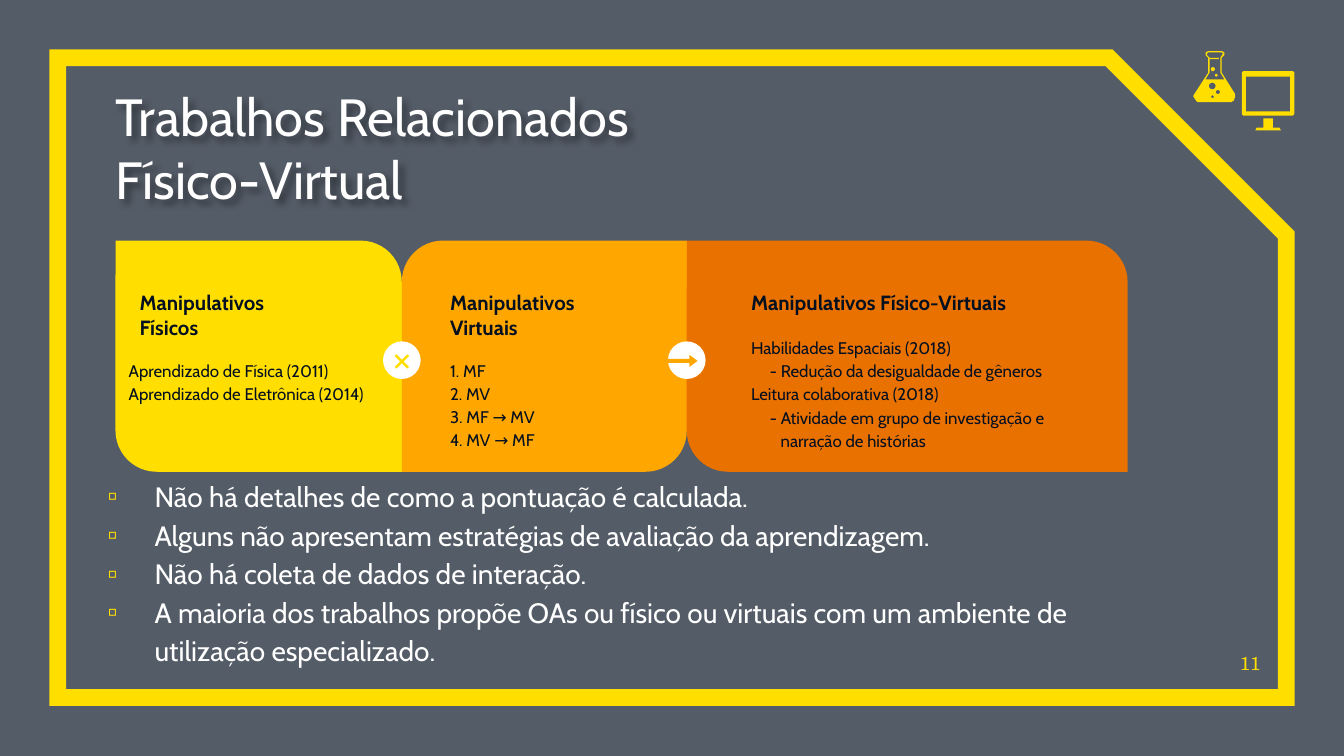
from copy import deepcopy
from dataclasses import dataclass
from math import cos, pi, sin
from typing import NamedTuple

from lxml.etree import SubElement
from pptx import Presentation
from pptx.dml.color import RGBColor
from pptx.enum.shapes import MSO_SHAPE as Preset
from pptx.enum.text import MSO_ANCHOR as Anchor, MSO_AUTO_SIZE as AutoSize, PP_ALIGN as Align
from pptx.oxml.ns import qn
from pptx.util import Emu, Pt

PX = 9144
COLORS = {"background": "545C67", "yellow": "FFDE00", "amber": "FFA700",
          "orange": "E97100", "ink": "040F20", "white": "FFFFFF"}
Points = list[tuple[float, float]]


class Box(NamedTuple):
    left: int
    top: int
    width: int
    height: int


class Style(NamedTuple):
    size: int
    color: str
    font: str = "Cabin"
    bold: bool = False


class Line(NamedTuple):
    text: str
    margin: int = 0
    indent: int = 0


@dataclass
class Panel:
    box: Box
    color: str
    corners: tuple[float, float]
    heading_box: Box
    heading: list[Line]
    body_box: Box
    body: list[Line]


RISING, FALLING = (0, 0.178), (0.178, 0)
PANELS = [
    Panel(Box(86, 179, 213, 172), "yellow", RISING,
          Box(94, 206, 159, 50), [Line("Manipulativos"), Line("Físicos")],
          Box(86, 256, 213, 56),
          [Line("Aprendizado de Física (2011)\nAprendizado de Eletrônica (2014)")]),
    Panel(Box(299, 179, 212, 172), "amber", FALLING,
          Box(325, 206, 159, 50), [Line("Manipulativos Virtuais")],
          Box(325, 256, 159, 76), [Line("1. MF\n2. MV\n3. MF → MV\n4. MV → MF")]),
    Panel(Box(511, 179, 328, 172), "orange", RISING,
          Box(549, 206, 264, 50), [Line("Manipulativos Físico-Virtuais")],
          Box(549, 239, 287, 91),
          [Line("Habilidades Espaciais (2018)"),
           Line("- Redução da desigualdade de gêneros", 22, -8),
           Line("Leitura colaborativa (2018)"),
           Line("- Atividade em grupo de investigação e\nnarração de histórias", 22, -8)]),
]
BULLETS = [
    "Não há detalhes de como a pontuação é calculada.",
    "Alguns não apresentam estratégias de avaliação da aprendizagem.",
    "Não há coleta de dados de interação.",
    "A maioria dos trabalhos propõe OAs ou físico ou virtuais com um ambiente de "
    "utilização especializado.",
]
FLASK = [(899, 38), (909, 38), (911, 39), (911, 41), (909, 43), (909, 54), (919, 70), (919, 72),
         (918, 75), (916, 76), (891, 76), (890, 75), (888, 72), (888, 71), (899, 54), (899, 43),
         (897, 41), (897, 39)]
FLASK_GLASS = [(899, 39), (909, 39), (910, 40), (908, 43), (908, 54), (911, 59), (897, 59),
               (900, 54), (900, 43), (898, 41), (898, 40)]
SCREEN = [(925, 53), (962, 53), (963, 54), (963, 85), (962, 86), (925, 86), (924, 85), (924, 54)]
SCREEN_GLASS = [(927, 57), (960, 57), (960, 83), (927, 83)]
STAND = [(940, 88), (947, 88), (947, 95), (952, 95), (953, 97), (934, 97), (935, 95), (940, 95)]


def px(value: int) -> Emu:
    return Emu(value * PX)


def rgb(color: str) -> RGBColor:
    return RGBColor.from_string(COLORS[color])


def paint(shape, color: str) -> None:
    shape.shadow.inherit = False
    shape.fill.solid()
    shape.fill.fore_color.rgb = rgb(color)
    shape.line.fill.background()


def add_preset(slide, preset, box: Box, color: str, adjustments: tuple = ()):
    shape = slide.shapes.add_shape(preset, *map(px, box))
    paint(shape, color)
    for index, value in enumerate(adjustments):
        shape.adjustments[index] = value
    return shape


def add_outline(slide, contours: list[Points]) -> None:
    scaled = [[(x * PX, y * PX) for x, y in contour] for contour in contours]
    builder = slide.shapes.build_freeform(*scaled[0][0], scale=1.0)
    for contour in scaled:
        if contour is not scaled[0]:
            builder.move_to(*contour[0])
        builder.add_line_segments(contour[1:], close=True)
    paint(builder.convert_to_shape(), "yellow")


def circle(x: float, y: float, radius: float) -> Points:
    angles = [pi * step / 8 for step in range(16)]
    return [(x + radius * cos(angle), y + radius * sin(angle)) for angle in angles]


def add_runs(paragraph, text: str, style: Style) -> None:
    for index, part in enumerate(text.split("\n")):
        if index:
            paragraph.add_line_break()
            paragraph._p[-1].append(deepcopy(run.font._element))
        run = paragraph.add_run()
        run.text = part
        run.font.size, run.font.bold, run.font.name = Pt(style.size), style.bold, style.font
        run.font.color.rgb = rgb(style.color)


def write(shape, lines: list[Line], style: Style, inset: int = 0, spacing: float = 1.0,
          anchor=Anchor.TOP, alignment=Align.LEFT, bullet: str = "") -> None:
    frame = shape.text_frame
    frame.word_wrap, frame.auto_size, frame.vertical_anchor = True, AutoSize.NONE, anchor
    frame.margin_left = frame.margin_right = frame.margin_top = frame.margin_bottom = px(inset)
    for index, line in enumerate(lines):
        paragraph = frame.add_paragraph() if index else frame.paragraphs[0]
        properties = paragraph._p.get_or_add_pPr()
        properties.set("marL", str(px(line.margin)))
        properties.set("indent", str(px(line.indent)))
        if bullet:
            bullet_color = SubElement(properties, qn("a:buClr"))
            SubElement(bullet_color, qn("a:srgbClr"), val=COLORS["yellow"])
            SubElement(properties, qn("a:buChar"), char=bullet)
        paragraph.alignment, paragraph.line_spacing = alignment, spacing
        paragraph.space_before = Pt(0)
        add_runs(paragraph, line.text, style)


def add_shadow(shape) -> None:
    effects = SubElement(shape._element.spPr, qn("a:effectLst"))
    shadow = SubElement(effects, qn("a:outerShdw"), blurRad="50800", dist="38100", dir="2700000")
    shadow_color = SubElement(shadow, qn("a:srgbClr"), val="000000")
    SubElement(shadow_color, qn("a:alpha"), val="40000")


def add_frame(slide) -> None:
    frame = add_preset(slide, Preset.SNIP_1_RECTANGLE, Box(43, 43, 914, 476), "yellow", (0.277,))
    frame.fill.background()
    frame.line.color.rgb, frame.line.width = rgb("yellow"), Pt(9)
    SubElement(frame.line._get_or_add_ln(), qn("a:miter"), lim="800000")
    slide.shapes._spTree.insert(2, frame._element)


def add_panel(slide, panel: Panel) -> None:
    add_preset(slide, Preset.ROUND_2_DIAG_RECTANGLE, panel.box, panel.color, panel.corners)
    heading = slide.shapes.add_textbox(*map(px, panel.heading_box))
    write(heading, panel.heading, Style(11, "ink", bold=True), 10)
    body = slide.shapes.add_textbox(*map(px, panel.body_box))
    write(body, panel.body, Style(9, "ink"), 10, 1.15)


def add_icons(slide) -> None:
    bubbles = [circle(902, 64, 2.5), circle(906.2, 68.5, 1.5), circle(902.2, 72, 1)]
    add_outline(slide, [FLASK, FLASK_GLASS, *bubbles])
    for contour in (circle(905, 56, 1), circle(902.5, 51.5, 1.5)):
        add_outline(slide, [contour])
    add_preset(slide, Preset.RECTANGLE, Box(900, 43, 7, 1), "yellow")
    add_outline(slide, [STAND])
    add_outline(slide, [SCREEN, SCREEN_GLASS])


def main() -> None:
    presentation = Presentation()
    presentation.slide_width, presentation.slide_height = px(1000), px(1000) * 9 // 16
    slide = presentation.slides.add_slide(presentation.slide_layouts[1])
    slide.background.fill.solid()
    slide.background.fill.fore_color.rgb = rgb("background")
    add_frame(slide)
    title, body = slide.shapes.title, slide.placeholders[1]
    for shape, box in ((title, Box(86, 58, 735, 98)), (body, Box(65, 353, 784, 158))):
        shape.left, shape.top, shape.width, shape.height = map(px, box)
    write(title, [Line("Trabalhos Relacionados"), Line("Físico-Virtual")], Style(28, "white"),
          anchor=Anchor.BOTTOM)
    add_shadow(title)
    write(body, [Line(text, 50, -35) for text in BULLETS], Style(15, "white"),
          spacing=1.15, bullet="▫")
    for panel in PANELS:
        add_panel(slide, panel)
    for left in (285, 497):
        add_preset(slide, Preset.OVAL, Box(left, 254, 28, 28), "white")
    cross = add_preset(slide, Preset.MATH_PLUS, Box(290, 260, 18, 18), "yellow", (0.099,))
    cross.rotation = 45
    add_preset(slide, Preset.RIGHT_ARROW, Box(497, 264, 22, 9), "amber", (0.32, 0.67))
    add_icons(slide)
    number = slide.shapes.add_textbox(*map(px, Box(911, 474, 27, 28)))
    write(number, [Line("11")], Style(10, "yellow", "TeX Gyre Schola"),
          anchor=Anchor.BOTTOM, alignment=Align.RIGHT)
    presentation.save("out.pptx")


if __name__ == "__main__":
    main()
